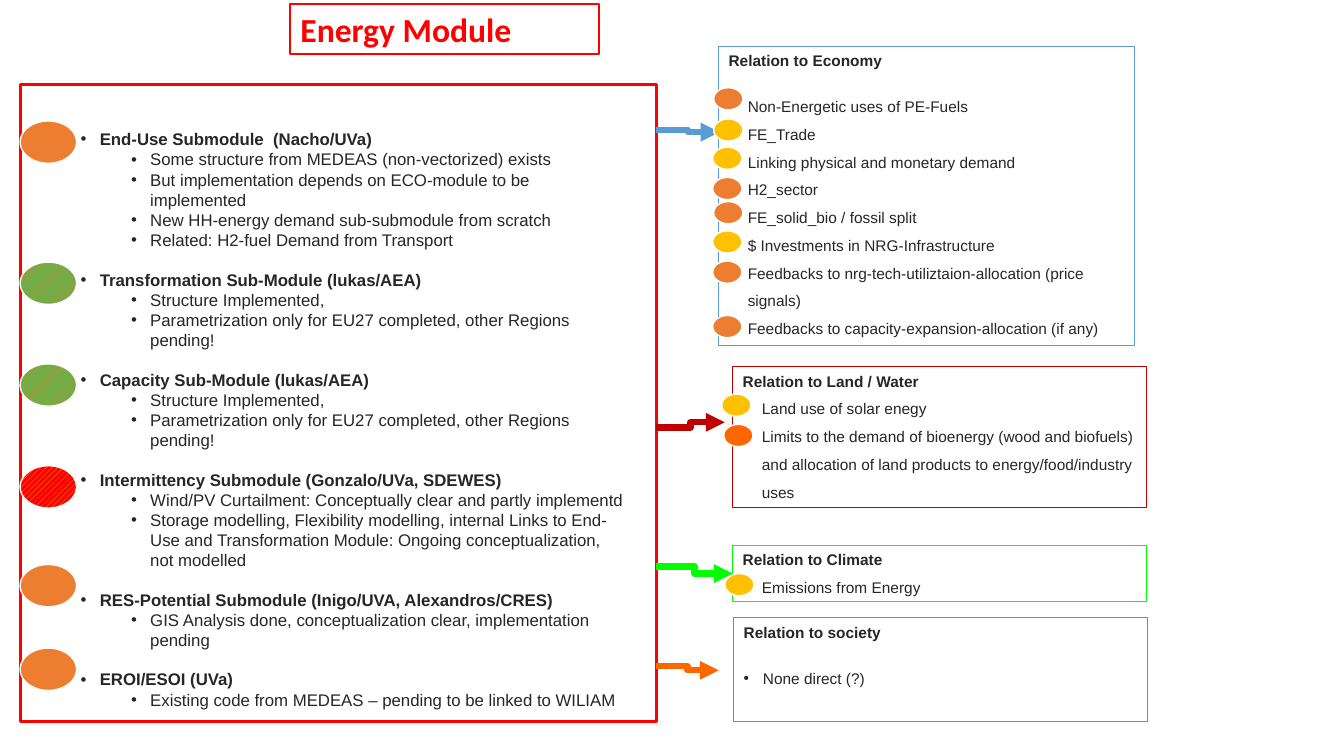
import pptx
import pptx.dml.color
import pptx.enum.dml
import pptx.enum.shapes
import pptx.enum.text
import pptx.oxml.xmlchemy
import pptx.util

# The grid has square cells, ten to the inch; all lengths are columns and rows.
CELL = pptx.util.Inches(0.1)
COLUMNS, ROWS = 133.33, 75
SHAPE = pptx.enum.shapes.MSO_SHAPE
RED, ORANGE, YELLOW, GREEN = "FF0000", "ED7D31", "FFC000", "70AD47"
BLUE, DARK_RED, LIME, VIVID_ORANGE = "5B9BD5", "C00000", "00FF00", "FF6600"
INK, WHITE = "262626", "FFFFFF"

FRAME = (2, 8.4, 63.1, 63.2)
TITLE = (28.8, 0.4, 30.6, 5)

# heading, points, status marker: row below the frame's top, foreground, background
SUBMODULES = [
    ("End-Use Submodule  (Nacho/UVa)",
     ["Some structure from MEDEAS (non-vectorized) exists",
      "But implementation depends on ECO-module to be implemented",
      "New HH-energy demand sub-submodule from scratch",
      "Related: H2-fuel Demand from Transport"], (3.6, ORANGE, ORANGE)),
    ("Transformation Sub-Module (lukas/AEA)",
     ["Structure Implemented,",
      "Parametrization only for EU27 completed, other Regions pending!"],
     (17.6, ORANGE, GREEN)),
    ("Capacity Sub-Module (lukas/AEA)",
     ["Structure Implemented,",
      "Parametrization only for EU27 completed, other Regions pending!"],
     (27.7, ORANGE, GREEN)),
    ("Intermittency Submodule (Gonzalo/UVa, SDEWES)",
     ["Wind/PV Curtailment: Conceptually clear and partly implementd",
      "Storage modelling, Flexibility modelling, internal Links to End-Use and "
      "Transformation Module: Ongoing conceptualization, not modelled"],
     (37.8, YELLOW, RED)),
    ("RES-Potential Submodule (Inigo/UVA, Alexandros/CRES)",
     ["GIS Analysis done, conceptualization clear, implementation pending"],
     (47.6, ORANGE, ORANGE)),
    ("EROI/ESOI (UVa)",
     ["Existing code from MEDEAS – pending to be linked to WILIAM"],
     (55.9, ORANGE, ORANGE)),
]

# heading, box, line colour, gap under the heading in points,
# points, markers (column and row from the box's corner, colour), arrow (start row, tip)
RELATIONS = [
    ("Relation to Economy", (71.3, 4.6, 41.3, 29.7), BLUE, 13,
     ["Non-Energetic uses of PE-Fuels", "FE_Trade",
      "Linking physical and monetary demand", "H2_sector",
      "FE_solid_bio / fossil split", "$ Investments in NRG-Infrastructure",
      "Feedbacks to nrg-tech-utiliztaion-allocation (price signals)",
      "Feedbacks to capacity-expansion-allocation (if any)"],
     [(-0.5, 4.1, ORANGE), (-0.5, 7.2, YELLOW), (-0.6, 10, YELLOW), (-0.6, 13, ORANGE),
      (-0.5, 15.4, ORANGE), (-0.6, 18.3, YELLOW), (-0.6, 21.3, ORANGE),
      (-0.6, 26.7, ORANGE)],
     (12.9, (71.4, 13.1))),
    ("Relation to Land / Water", (72.7, 36.4, 41, 14), DARK_RED, 0,
     ["Land use of solar enegy",
      "Limits to the demand of bioenergy (wood and biofuels) and allocation of land "
      "products to energy/food/industry uses"],
     [(-1.1, 2.7, YELLOW), (-0.9, 5.7, VIVID_ORANGE)],
     (42.4, (71.9, 41.9))),
    ("Relation to Climate", (72.7, 54.1, 41, 5.6), LIME, 0,
     ["Emissions from Energy"], [(-0.8, 2.8, YELLOW)],
     (56.2, None)),
    ("Relation to society", (72.8, 61.3, 41, 10.3), VIVID_ORANGE, 13,
     ["None direct (?)"], [],
     (66.1, (71.3, 66.5))),
]


def rgb(hex_colour):
    return pptx.dml.color.RGBColor.from_string(hex_colour)


def cells(*counts):
    return [round(count * CELL) for count in counts]


def set_all(target, values):
    for name, value in values.items():
        setattr(target, name, value)


def add_element(parent, tag, **attributes):
    element = pptx.oxml.xmlchemy.OxmlElement("a:" + tag)
    for name, value in attributes.items():
        element.set(name, value)
    parent.append(element)


def place(shape, box):
    set_all(shape, dict(zip(("left", "top", "width", "height"), cells(*box))))


def outline(shape, colour, points):
    shape.line.color.rgb = rgb(colour)
    shape.line.width = pptx.util.Pt(points)


def add_outlined(slide, kind, box, colour, points):
    shape = slide.shapes.add_shape(kind, *cells(*box))
    shape.shadow.inherit = False
    shape.fill.background()
    outline(shape, colour, points)
    return shape


def add_marker(slide, box, colour, background=None):
    """Status ellipse, hatched when a background colour is given."""
    marker = add_outlined(slide, SHAPE.OVAL, box, WHITE, 1)
    if background is None:
        marker.fill.solid()
        marker.fill.fore_color.rgb = rgb(colour)
    else:
        marker.fill.patterned()
        marker.fill.pattern = pptx.enum.dml.MSO_PATTERN.WIDE_UPWARD_DIAGONAL
        marker.fill.fore_color.rgb = rgb(colour)
        marker.fill.back_color.rgb = rgb(background)


def prepare_text(frame):
    set_all(frame, {"word_wrap": True,
                    "auto_size": pptx.enum.text.MSO_AUTO_SIZE.NONE,
                    "vertical_anchor": pptx.enum.text.MSO_ANCHOR.TOP})


def add_bullet(paragraph, indent):
    properties = paragraph._p.get_or_add_pPr()
    properties.set("marL", str(pptx.util.Inches(indent)))
    properties.set("indent", str(pptx.util.Inches(-0.19)))
    add_element(properties, "buFont", typeface="Arial")
    add_element(properties, "buChar", char="•")


def write(frame, text, size, bold=False, indent=None, before=0, spacing=1.0,
          font="Arial", colour=INK):
    """Append a paragraph, filling the first one if it is still empty."""
    first = frame.paragraphs[0]
    paragraph = first if not first.runs else frame.add_paragraph()
    if indent is not None:
        add_bullet(paragraph, indent)
    set_all(paragraph, {"alignment": pptx.enum.text.PP_ALIGN.LEFT,
                        "line_spacing": spacing,
                        "space_before": pptx.util.Pt(before),
                        "space_after": pptx.util.Pt(0)})
    run = paragraph.add_run()
    run.text = text
    set_all(run.font, {"name": font, "size": pptx.util.Pt(size), "bold": bold})
    run.font.color.rgb = rgb(colour)
    return paragraph


def add_title(title, box):
    place(title, box)
    outline(title, RED, 1.5)
    prepare_text(title.text_frame)
    write(title.text_frame, "Energy Module", 24, True, font="Calibri", colour=RED)


def add_submodules(slide, listing, box):
    left, top, width, height = box
    add_outlined(slide, SHAPE.RECTANGLE, box, RED, 2.25)
    place(listing, (left + 5, top + 3.9, width - 7.2, height - 4.2))
    prepare_text(listing.text_frame)
    for number, (heading, points, (row, colour, background)) in enumerate(SUBMODULES):
        write(listing.text_frame, heading, 12, True, 0.19, before=13.8 if number else 0)
        for point in points:
            write(listing.text_frame, point, 12, indent=0.69).level = 1
        add_marker(slide, (left, top + row, 5.6, 4.2), colour, background)


def add_arrow(slide, colour, start, tip, target):
    """Elbow arrow to the tip, or to the middle of the target's left side."""
    elbow = pptx.enum.shapes.MSO_CONNECTOR.ELBOW
    arrow = slide.shapes.add_connector(elbow, *cells(*start, *(tip or start)))
    if tip is None:
        arrow.end_connect(target, 1)
    outline(arrow, colour, 4.5)
    add_element(arrow.line._get_or_add_ln(), "tailEnd", type="triangle")
    add_element(arrow._element.spPr, "effectLst")


def add_relation(slide, heading, box, colour, gap, points, markers, arrow):
    left, top = box[:2]
    panel = add_outlined(slide, SHAPE.RECTANGLE, box, colour, 0.75)
    prepare_text(panel.text_frame)
    write(panel.text_frame, heading, 11, True)
    for number, point in enumerate(points):
        write(panel.text_frame, point, 11, indent=0.19, spacing=1.5,
              before=0 if number else gap)
    start_row, tip = arrow
    add_arrow(slide, colour, (FRAME[0] + FRAME[2], start_row), tip, panel)
    for column, row, fill in markers:
        add_marker(slide, (left + column, top + row, 2.9, 2.2), fill)


def main():
    deck = pptx.Presentation()
    deck.slide_width, deck.slide_height = cells(COLUMNS, ROWS)
    slide = deck.slides.add_slide(deck.slide_layouts[1])
    title, listing = slide.placeholders
    add_title(title, TITLE)
    add_submodules(slide, listing, FRAME)
    for relation in RELATIONS:
        add_relation(slide, *relation)
    deck.save("out.pptx")


if __name__ == "__main__":
    main()
